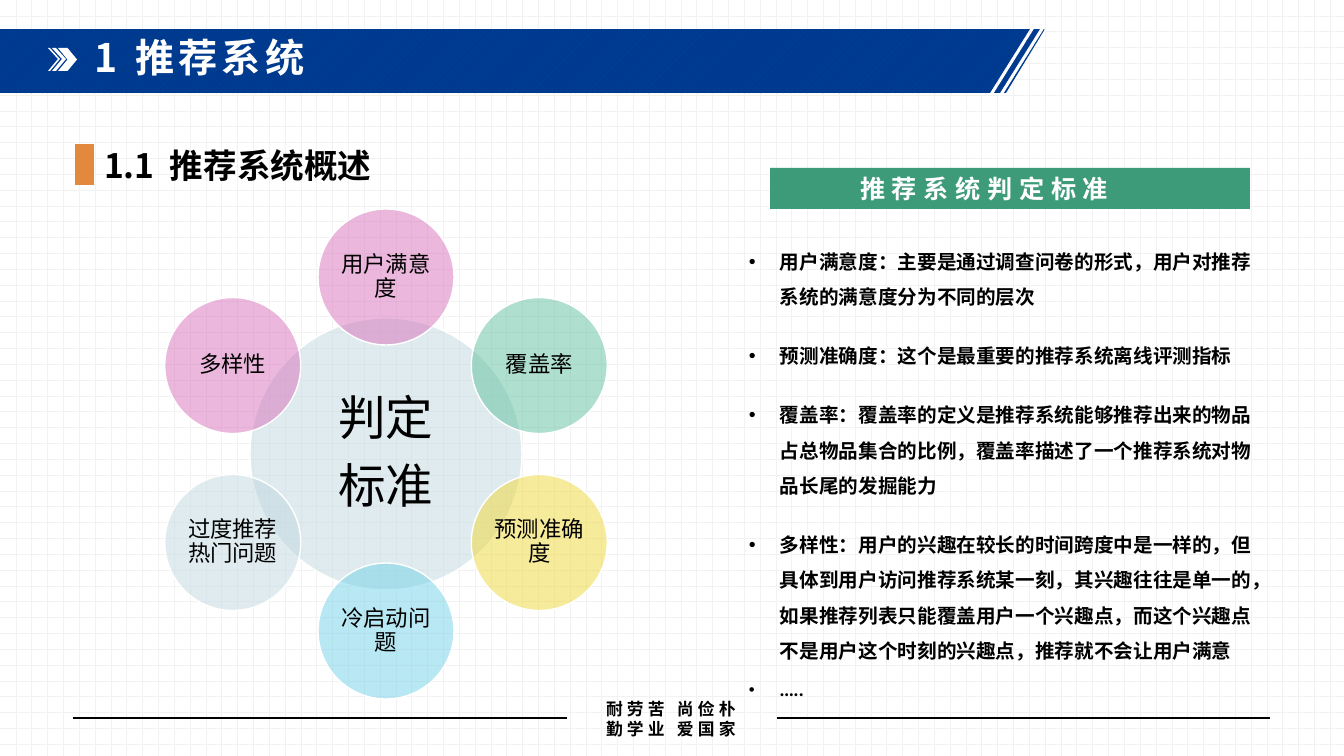
"""Build the slide on how recommender systems are judged."""
from math import cos, radians, sin
from lxml import etree
from pptx import Presentation
from pptx import util as u
from pptx.dml.color import RGBColor
from pptx.enum import dml, shapes, text
from pptx.oxml.ns import qn

HUES = {"navy": "003A8F", "blue": "00449A", "white": "FFFFFF", "black": "000000",
        "grid": "F2F2F2", "orange": "E3893D", "green": "3E9B7A", "mist": "C1D9DF",
        "pink": "D870BB", "mint": "61C09E", "gold": "EFD836", "sky": "73D2E8"}
SANS, SPARTAN = "Noto Sans CJK SC", "League Spartan"
KIND = shapes.MSO_SHAPE
MID, LEFT = text.PP_ALIGN.CENTER, text.PP_ALIGN.LEFT
SCALE = 12192000 / 1344


def px(n):
    return round(n * SCALE)


def hue(name):
    return RGBColor.from_string(HUES[name])


def style(item, vals):
    for key, val in vals.items():
        setattr(item, key, val)


class Deck:
    """Holds the style and the current slide."""

    def __init__(self, wide, high):
        self.prs = Presentation()
        style(self.prs, {"slide_width": px(wide), "slide_height": px(high)})
        self.slide = self.prs.slides.add_slide(self.prs.slide_layouts[6])
        self.tree = self.slide.shapes
        self.hatch(self.slide.background.fill, "DOTTED_GRID", "grid", "white")

    def hatch(self, fill, kind, fore, back):
        fill.patterned()
        fill.pattern = getattr(dml.MSO_PATTERN, kind)
        fill.fore_color.rgb, fill.back_color.rgb = hue(fore), hue(back)

    def paint(self, shape, fill, edge=None, alpha=None):
        shape.shadow.inherit = False
        shape.fill.solid()
        shape.fill.fore_color.rgb = hue(fill)
        if alpha:
            tint = shape._element.spPr.find(qn("a:solidFill")).find(qn("a:srgbClr"))
            etree.SubElement(tint, qn("a:alpha")).set("val", str(alpha * 1000))
        if edge:
            shape.line.color.rgb = hue(edge)
            shape.line.width = u.Pt(1)
        else:
            shape.line.fill.background()
        return shape

    def block(self, kind, box, fill, **look):
        return self.paint(self.tree.add_shape(kind, *map(px, box)), fill, **look)

    def outline(self, paths, fill):
        pen = self.tree.build_freeform(*paths[0][0], scale=SCALE)
        for i, path in enumerate(paths):
            if i:
                pen.move_to(*path[0])
            pen.add_line_segments(path[1:], close=True)
        return self.paint(pen.convert_to_shape(), fill)

    def rule(self, left, right, y):
        line = self.tree.add_connector(shapes.MSO_CONNECTOR.STRAIGHT,
                                       px(left), px(y), px(right), px(y))
        line.line.color.rgb, line.line.width = hue("black"), u.Pt(2)
        etree.SubElement(line._element.spPr, qn("a:effectLst"))

    def label(self, box, lines, size, **look):
        self.words(self.tree.add_textbox(*map(px, box)), lines, size, **look)

    def words(self, shape, lines, size, face=SPARTAN, ink="black", bold=False,
              align=LEFT, anchor="TOP", pad=(10, 5), shift=0, track=0,
              bullet=False, **form):
        frame = shape.text_frame
        side, edge = map(px, pad)
        style(frame, {"word_wrap": True, "margin_left": side + px(shift),
                      "margin_right": side, "margin_top": edge, "margin_bottom": edge,
                      "vertical_anchor": getattr(text.MSO_ANCHOR, anchor)})
        for i, line in enumerate(lines):
            para = frame.paragraphs[0] if i == 0 else frame.add_paragraph()
            if bullet:
                self.dot(para)
            style(para, {"alignment": align, **form})
            if i == 0:
                para.space_before = u.Pt(0)
            run = para.add_run()
            run.text = line
            style(run.font, {"size": u.Pt(size), "bold": bold, "name": face})
            run.font.color.rgb = hue(ink)
            props = run._r.get_or_add_rPr()
            if track:
                props.set("spc", str(track * 100))
            etree.SubElement(props, qn("a:ea")).set("typeface", face)

    def dot(self, para):
        props = para._p.get_or_add_pPr()
        for key, val in {"marL": px(31), "indent": -px(31)}.items():
            props.set(key, str(val))
        etree.SubElement(props, qn("a:buFont")).set("typeface", "Arial")
        etree.SubElement(props, qn("a:buChar")).set("char", "•")


def banner(deck):
    band = deck.outline([[(1044, 29), (1045, 29), (1006, 93), (1004, 93)],
                         [(1034, 29), (1040, 29), (1000, 93), (994, 93)],
                         [(0, 29), (1030, 29), (990, 93), (0, 93)]], "navy")
    deck.hatch(band.fill, "WIDE_UPWARD_DIAGONAL", "blue", "navy")
    deck.block(KIND.CHEVRON, (58, 48, 19, 23), "white")
    for x, wide in ((52, 4), (48, 2)):
        deck.outline([[(x, 48), (x + wide, 48), (x + wide + 10, 59),
                       (x + wide, 71), (x, 71), (x + 10, 59)]], "white")
    deck.label((566, 694, 210, 50), ["耐劳苦 尚俭朴", "勤学业 爱国家"], 12, face=SANS,
               bold=True, align=MID, anchor="MIDDLE", track=3)
    for left, right in ((777, 1270), (73, 567)):
        deck.rule(left, right, 718)
    deck.block(KIND.RECTANGLE, (75, 144, 19, 41), "orange")
    deck.label((73, 34, 838, 56), ["1 推荐系统"], 28, face=SANS, ink="white",
               bold=True, shift=12, track=3, line_spacing=0.9)
    deck.label((94, 144, 1176, 41), ["1.1  推荐系统概述"], 24, face=SANS,
               bold=True, line_spacing=0.9)


def wheel(deck):
    mid_x, mid_y, reach = 386, 454, 177

    def disc(x, y, size, fill, lines, points, pad, after):
        box = (x - size / 2, y - size / 2, size, size)
        shape = deck.block(KIND.OVAL, box, fill, edge="white", alpha=50)
        deck.words(shape, lines, points, align=MID, anchor="MIDDLE", pad=(pad, pad),
                   line_spacing=0.9, space_after=u.Pt(after))

    disc(mid_x, mid_y, 272, "mist", ["判定", "标准"], 34, 5, 12)
    petals = [("用户满意度", "pink"), ("覆盖率", "mint"), ("预测准确度", "gold"),
              ("冷启动问题", "sky"), ("过度推荐热门问题", "mist"), ("多样性", "pink")]
    for i, (name, fill) in enumerate(petals):
        turn = radians(60 * i)
        disc(mid_x + reach * sin(turn), mid_y - reach * cos(turn), 136,
             fill, [name], 16, 2, 5.6)


def notes(deck):
    head = deck.block(KIND.RECTANGLE, (770, 168, 480, 41), "green")
    deck.words(head, ["推 荐 系 统 判 定 标 准"], 18, ink="white", bold=True, shift=80)
    deck.label((739, 233, 531, 450), [
        "用户满意度：主要是通过调查问卷的形式，用户对推荐系统的满意度分为不同的层次",
        "预测准确度：这个是最重要的推荐系统离线评测指标",
        "覆盖率：覆盖率的定义是推荐系统能够推荐出来的物品占总物品集合的比例，覆盖率描述了一个推荐系统对物品长尾的发掘能力",
        "多样性：用户的兴趣在较长的时间跨度中是一样的，但具体到用户访问推荐系统某一刻，其兴趣往往是单一的，"
        "如果推荐列表只能覆盖用户一个兴趣点，而这个兴趣点不是用户这个时刻的兴趣点，推荐就不会让用户满意",
    ], 14, bold=True, bullet=True, line_spacing=1.5, space_before=u.Pt(17))
    deck.label((739, 675, 531, 30), ["….."], 12, bold=True, bullet=True)


def main():
    deck = Deck(1344, 756)
    banner(deck)
    wheel(deck)
    notes(deck)
    deck.prs.save("out.pptx")


if __name__ == "__main__":
    main()
